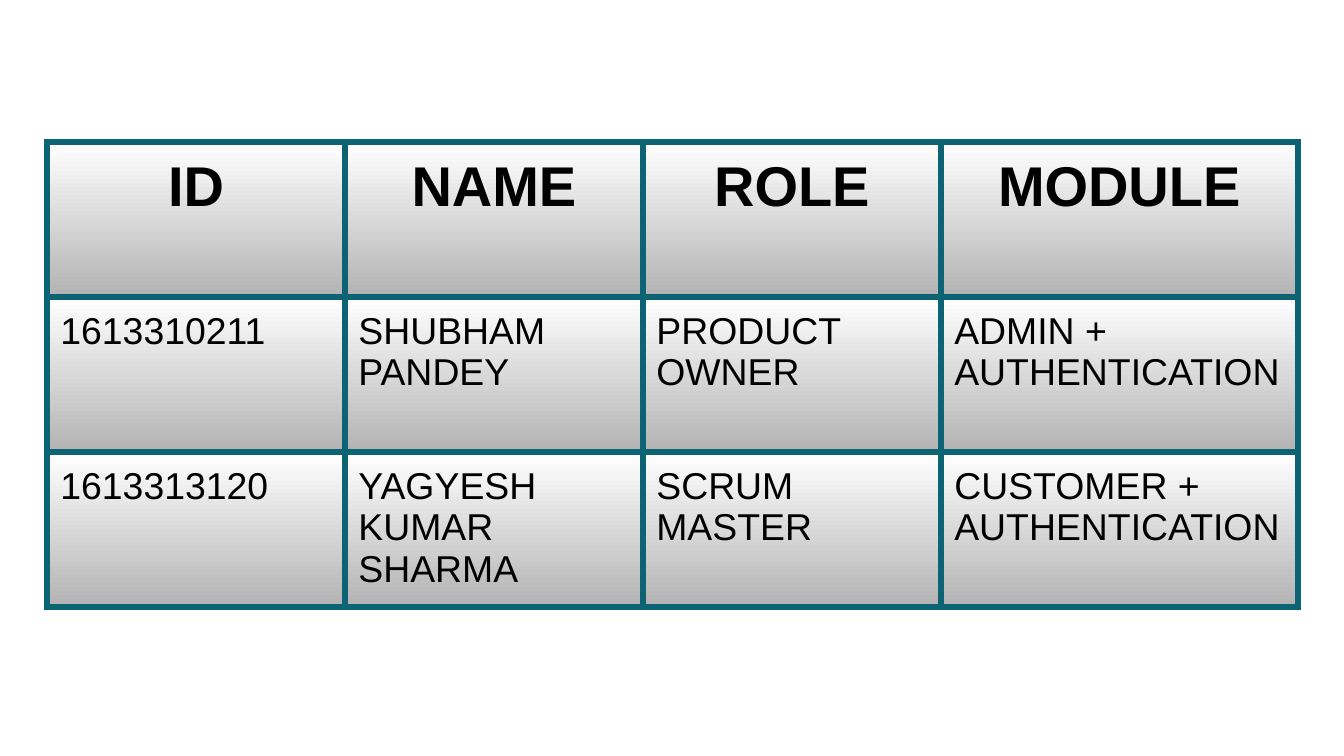
import lxml.etree
import pptx
import pptx.dml.color
import pptx.enum.text
import pptx.oxml.ns
import pptx.util

PX = 914400 / 134.4  # EMU in one px
ALIGN = pptx.enum.text.PP_ALIGN


def px(length):
    return pptx.util.Emu(round(length * PX))


def color(value):
    return pptx.dml.color.RGBColor.from_string(value)


def write(frame, text, size=20, bold=False, align=ALIGN.LEFT, ink="000000", font="Arial"):
    para = frame.paragraphs[0]
    para.alignment = align
    span = para.add_run()
    span.text = text
    span.font.name = font
    span.font.size = pptx.util.Pt(size)
    span.font.bold = bold
    span.font.color.rgb = color(ink)


class Painter:
    border = "0B6374"
    border_width = pptx.util.Pt(3.75)
    shades = ("FFFFFF", "B3B3B3")
    inset = pptx.util.Inches(0.1)

    def __init__(self, page):
        self.page = page

    def table(self, left, top, widths, heights, rows):
        box = self.page.shapes.add_table(
            len(heights), len(widths), px(left), px(top), px(sum(widths)), px(sum(heights)))
        table = box.table
        table.first_row = table.horz_banding = False
        for column, width in zip(table.columns, widths):
            column.width = px(width)
        for row, height in zip(table.rows, heights):
            row.height = px(height)
        for i, texts in enumerate(rows):
            style = dict(size=30, bold=True, align=ALIGN.CENTER) if i == 0 else {}
            for j, text in enumerate(texts):
                cell = table.cell(i, j)
                self.style_cell(cell)
                write(cell.text_frame, text, **style)

    def style_cell(self, cell):
        cell.margin_left = cell.margin_right = self.inset
        cell.margin_top = cell.margin_bottom = self.inset
        # Top-to-bottom gradient
        cell.fill.gradient()
        cell.fill.gradient_angle = 270
        for stop, position, shade in zip(cell.fill.gradient_stops, (0, 1), self.shades):
            stop.position = position
            stop.color.rgb = color(shade)
        # Borders come before the fill in the cell properties
        qn = pptx.oxml.ns.qn
        properties = cell._tc.get_or_add_tcPr()
        for index, side in enumerate("LRTB"):
            line = lxml.etree.Element(qn(f"a:ln{side}"), w=str(self.border_width))
            fill = lxml.etree.SubElement(line, qn("a:solidFill"))
            lxml.etree.SubElement(fill, qn("a:srgbClr"), val=self.border)
            properties.insert(index, line)


def main():
    deck = pptx.Presentation()
    deck.slide_width, deck.slide_height = px(1344), px(756)
    page = deck.slides.add_slide(deck.slide_layouts[6])

    # Team table
    Painter(page).table(47, 142, [298] * 3 + [357], [155] * 3, [
        ("ID", "NAME", "ROLE", "MODULE"),
        ("1613310211", "SHUBHAM PANDEY", "PRODUCT OWNER", "ADMIN + AUTHENTICATION"),
        ("1613313120", "YAGYESH KUMAR SHARMA", "SCRUM MASTER", "CUSTOMER + AUTHENTICATION"),
    ])

    deck.save("out.pptx")


if __name__ == "__main__":
    main()
